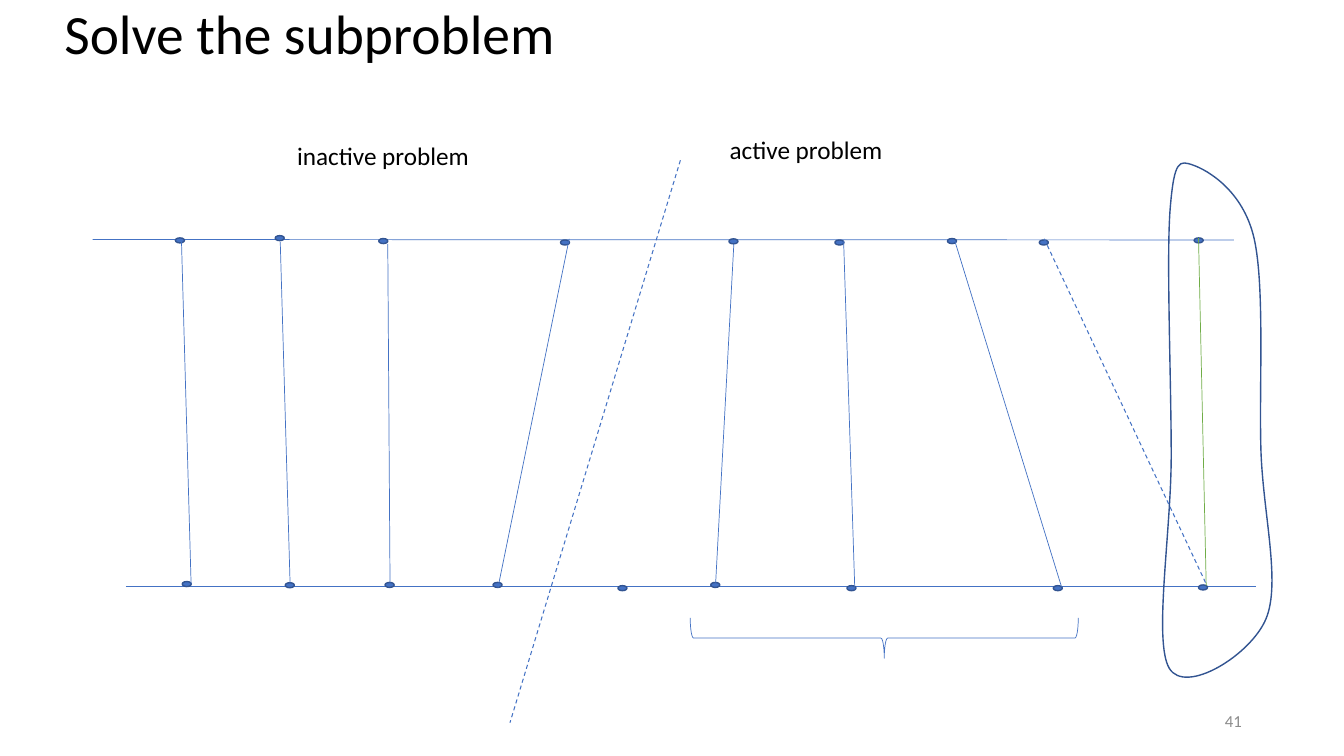
from lxml.etree import SubElement
from pptx import Presentation
from pptx.dml.color import RGBColor
from pptx.enum.dml import MSO_LINE
from pptx.enum.shapes import MSO_CONNECTOR, MSO_SHAPE
from pptx.enum.text import MSO_ANCHOR, PP_ALIGN
from pptx.oxml.ns import qn
from pptx.util import Pt

COLORS = {"blue": "4472C4", "outline": "325491", "green": "70AD47",
          "text": "000000", "number": "8C8C8C"}

# text, (left, top, width, height), size, colour, alignment, wrap, anchor, spacing
LABELS = [
    ("Solve the subproblem", (38.9, 6.5, 496.8, 39.6), 39.6, "text",
     PP_ALIGN.LEFT, True, MSO_ANCHOR.MIDDLE, 0.9),
    ("inactive problem", (205.2, 96.8, 139, 28.8), 18, "text",
     PP_ALIGN.LEFT, False, MSO_ANCHOR.TOP, 1.0),
    ("active problem", (514.1, 92.5, 129.6, 28.8), 18, "text",
     PP_ALIGN.LEFT, False, MSO_ANCHOR.TOP, 1.0),
    ("41", (678.2, 500.4, 216, 28.8), 12, "number",
     PP_ALIGN.RIGHT, True, MSO_ANCHOR.MIDDLE, 1.0),
]

# start x, start y, end x, end y
RAILS = [(66.2, 171.1, 881.3, 171.4), (90, 419, 897.1, 419)]
MATCHES = [
    (129.6, 171.4, 136.5, 416.9), (200.2, 172.8, 207.2, 416.2),
    (277, 174.2, 278.6, 416.2), (406.6, 170.6, 355.7, 419.8),
    (524.2, 174.2, 511.2, 416.2), (602.6, 172.1, 610.6, 421.2),
    (681.8, 171.4, 758.2, 419),
]
NEW_MATCH = (856.1, 169.9, 861.6, 418.3)
DASHED = [(486, 114.5, 364.3, 516.2), (745.9, 170.6, 861.8, 417.6)]

# centres of the points on the upper and lower rail
DOT_SIZE = (6.5, 3.6)
UPPER_DOTS = [(128.5, 171.7), (199.8, 170.1), (273.8, 172.2), (403.6, 173.2),
              (523.9, 172.4), (599.6, 173.2), (680, 172.2), (745.6, 173.2),
              (856.2, 171.7)]
LOWER_DOTS = [(133.4, 417.2), (207, 418), (278.3, 417.8), (355.4, 417.8),
              (444.6, 420.1), (510.9, 417.8), (608.2, 420.1), (755.6, 420.1),
              (859.3, 419.6)]

BRACE = (617.2, 317.2, 28.8, 277.2)

LOOP_BOX = (830.2, 116.6, 78.5, 367.2)
# each row: two control points and an end point
LOOP_START = (852.5, 118.1)
LOOP_CURVES = [
    ((842.4, 114.5), (838.8, 113.8), (835.9, 148.3)),
    ((833, 182.9), (836.6, 270.7), (836.6, 325.4)),
    ((836.6, 380.2), (823.7, 457.9), (835.2, 477.4)),
    ((846.7, 496.8), (893.5, 468), (904.3, 442.1)),
    ((915.1, 416.2), (902.2, 367.2), (900.7, 321.8)),
    ((899.3, 276.5), (903.6, 203.8), (895.7, 169.9)),
    ((887.8, 136.1), (862.6, 121.7), LOOP_START),
]


def rgb(name):
    return RGBColor.from_string(COLORS[name])


def style_line(line, color, width):
    line.color.rgb = rgb(color)
    line.width = Pt(width)


def add_label(shapes, text, box, size, color, align, wrap, anchor, spacing):
    frame = shapes.add_textbox(*map(Pt, box)).text_frame
    frame.word_wrap = wrap
    frame.vertical_anchor = anchor
    frame.text = text
    paragraph = frame.paragraphs[0]
    paragraph.alignment = align
    paragraph.line_spacing = spacing
    font = paragraph.runs[0].font
    font.name, font.size = "Calibri", Pt(size)
    font.color.rgb = rgb(color)


def add_line(shapes, ends, color="blue", width=0.5, dashed=False):
    connector = shapes.add_connector(MSO_CONNECTOR.STRAIGHT, *map(Pt, ends))
    style_line(connector.line, color, width)
    if dashed:
        connector.line.dash_style = MSO_LINE.DASH
    SubElement(connector._element.spPr, qn("a:effectLst"))


def add_dot(shapes, center):
    width, height = DOT_SIZE
    x, y = center
    box = (x - width / 2, y - height / 2, width, height)
    dot = shapes.add_shape(MSO_SHAPE.OVAL, *map(Pt, box))
    dot.shadow.inherit = False
    dot.fill.solid()
    dot.fill.fore_color.rgb = rgb("blue")
    style_line(dot.line, "outline", 1)


def add_brace(shapes):
    brace = shapes.add_shape(MSO_SHAPE.RIGHT_BRACE, *map(Pt, BRACE))
    brace.rotation = 90
    brace.shadow.inherit = False
    brace.fill.background()
    style_line(brace.line, "blue", 0.5)


def add_loop(shapes):
    """Add the closed outline, turning its straight segments into curves."""
    left, top, width, height = map(Pt, LOOP_BOX)
    builder = shapes.build_freeform(*map(Pt, LOOP_START))
    ends = [(Pt(x), Pt(y)) for _, _, (x, y) in LOOP_CURVES]
    builder.add_line_segments(ends, close=True)
    loop = builder.convert_to_shape()
    loop.left, loop.top, loop.width, loop.height = left, top, width, height

    outline = next(loop._element.iter(qn("a:path")))
    outline.set("w", str(width))
    outline.set("h", str(height))
    for step in list(outline):
        outline.remove(step)

    def add_step(tag, points=()):
        step = SubElement(outline, qn(tag))
        for x, y in points:
            SubElement(step, qn("a:pt"), x=str(Pt(x) - left), y=str(Pt(y) - top))

    add_step("a:moveTo", [LOOP_START])
    for curve in LOOP_CURVES:
        add_step("a:cubicBezTo", curve)
    add_step("a:close")

    loop.shadow.inherit = False
    loop.fill.background()
    style_line(loop.line, "outline", 1)


def main():
    prs = Presentation()
    prs.slide_width, prs.slide_height = Pt(960), Pt(540)
    shapes = prs.slides.add_slide(prs.slide_layouts[6]).shapes

    for label in LABELS:
        add_label(shapes, *label)
    for rail in RAILS:
        add_line(shapes, rail)
    for center in UPPER_DOTS + LOWER_DOTS:
        add_dot(shapes, center)
    for match in MATCHES:
        add_line(shapes, match)
    add_line(shapes, NEW_MATCH, "green")
    add_loop(shapes)
    add_brace(shapes)
    for ends in DASHED:
        add_line(shapes, ends, width=0.75, dashed=True)

    prs.save("out.pptx")


if __name__ == "__main__":
    main()
